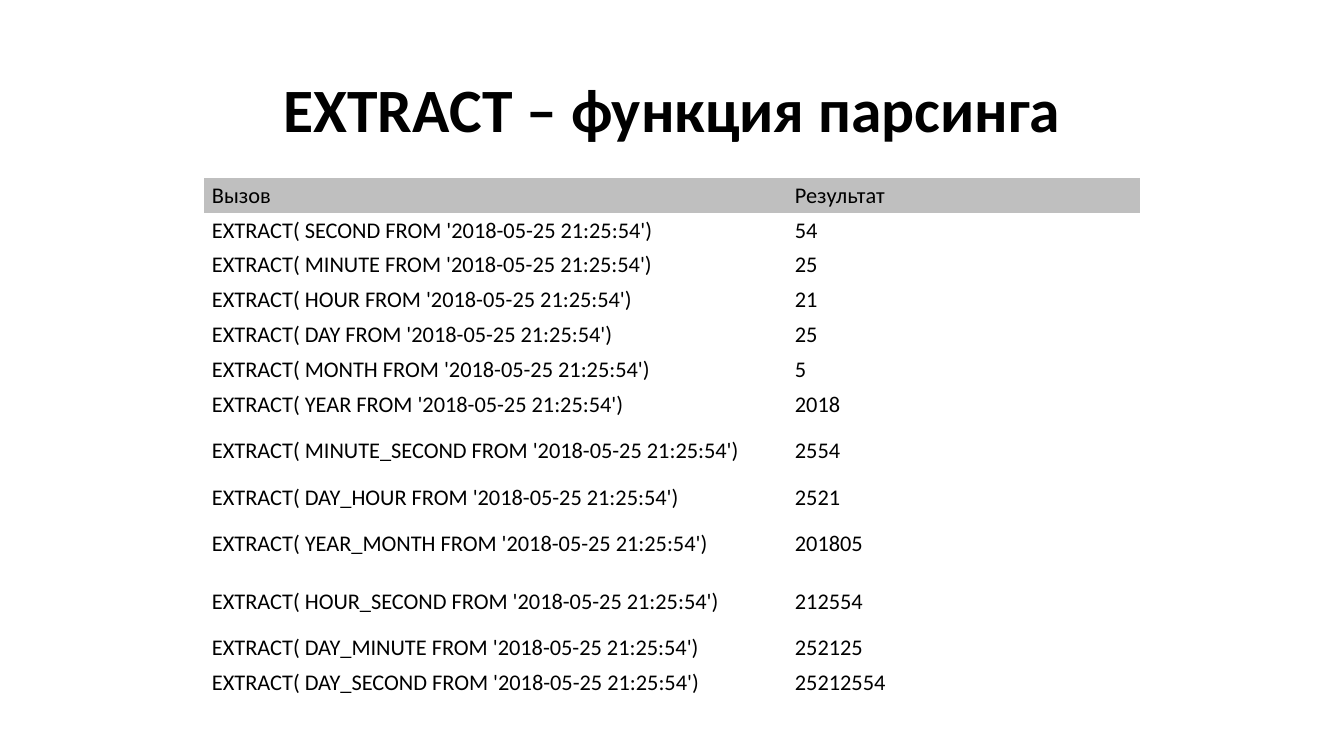
import pptx
import pptx.dml.color
import pptx.enum.text
import pptx.oxml.ns
import pptx.util

BLACK = pptx.dml.color.RGBColor(0x00, 0x00, 0x00)
HEADER_GREY = pptx.dml.color.RGBColor(0xBF, 0xBF, 0xBF)
FONT = "Calibri"
NO_STYLE_NO_GRID = "{2D5ABB26-0587-4C30-8999-92F81FD0307C}"
TIMESTAMP = "2018-05-25 21:25:54"
ROW_HEIGHT, TALL_ROW_HEIGHT = 33, 58
TALL_UNITS = ("MINUTE_SECOND", "YEAR_MONTH", "HOUR_SECOND")
RESULTS = [
    ("SECOND", "54"),
    ("MINUTE", "25"),
    ("HOUR", "21"),
    ("DAY", "25"),
    ("MONTH", "5"),
    ("YEAR", "2018"),
    ("MINUTE_SECOND", "2554"),
    ("DAY_HOUR", "2521"),
    ("YEAR_MONTH", "201805"),
    ("HOUR_SECOND", "212554"),
    ("DAY_MINUTE", "252125"),
    ("DAY_SECOND", "25212554"),
]


def px(n):
    """Turn pixels into EMU."""
    return pptx.util.Emu(round(n * 914400 / 100.8))


def write(tf, text, size, bold=False):
    """Put one line of black text into a text frame and return its paragraph."""
    tf.text = text
    p = tf.paragraphs[0]
    font = p.runs[0].font
    font.name, font.size, font.bold = FONT, pptx.util.Pt(size), bold
    font.color.rgb = BLACK
    return p


prs = pptx.Presentation()
prs.slide_width, prs.slide_height = px(1344), px(756)
s = prs.slides.add_slide(prs.slide_layouts[6])

# Title
tf = s.shapes.add_textbox(px(93), px(40), px(1159), px(146)).text_frame
tf.word_wrap = True
tf.vertical_anchor = pptx.enum.text.MSO_ANCHOR.MIDDLE
p = write(tf, "EXTRACT – функция парсинга", 44, bold=True)
p.alignment = pptx.enum.text.PP_ALIGN.CENTER
p.line_spacing = 0.9

# Table of calls and results
rows = [("Вызов", "Результат")]
heights = [ROW_HEIGHT]
for unit, result in RESULTS:
    rows.append((f"EXTRACT( {unit} FROM '{TIMESTAMP}')", result))
    heights.append(TALL_ROW_HEIGHT if unit in TALL_UNITS else ROW_HEIGHT)

table = s.shapes.add_table(
    len(rows), 2, px(204), px(178), px(936), px(sum(heights))
).table
table.first_row = table.horz_banding = False
style = table._tbl.tblPr.find(pptx.oxml.ns.qn("a:tableStyleId"))
style.text = NO_STYLE_NO_GRID
for column, width in zip(table.columns, (583, 353)):
    column.width = px(width)

for i, (texts, height) in enumerate(zip(rows, heights)):
    table.rows[i].height = px(height)
    for cell, text in zip(table.rows[i].cells, texts):
        write(cell.text_frame, text, 16)
        cell.vertical_anchor = pptx.enum.text.MSO_ANCHOR.MIDDLE
        cell.margin_left = cell.margin_right = px(8)
        cell.margin_top = cell.margin_bottom = px(4)
        if i == 0:
            cell.fill.solid()
            cell.fill.fore_color.rgb = HEADER_GREY
        else:
            cell.fill.background()

prs.save("out.pptx")
